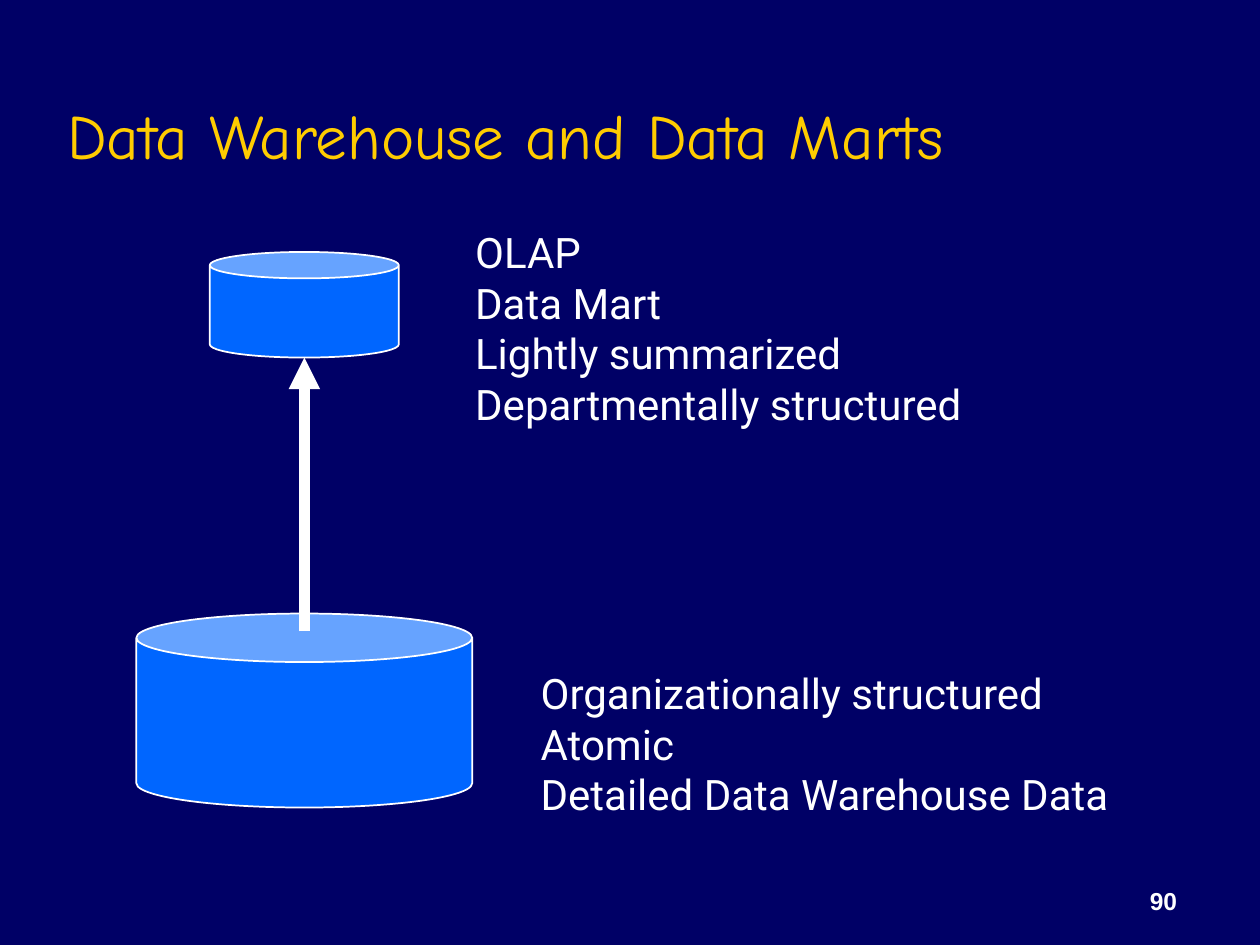
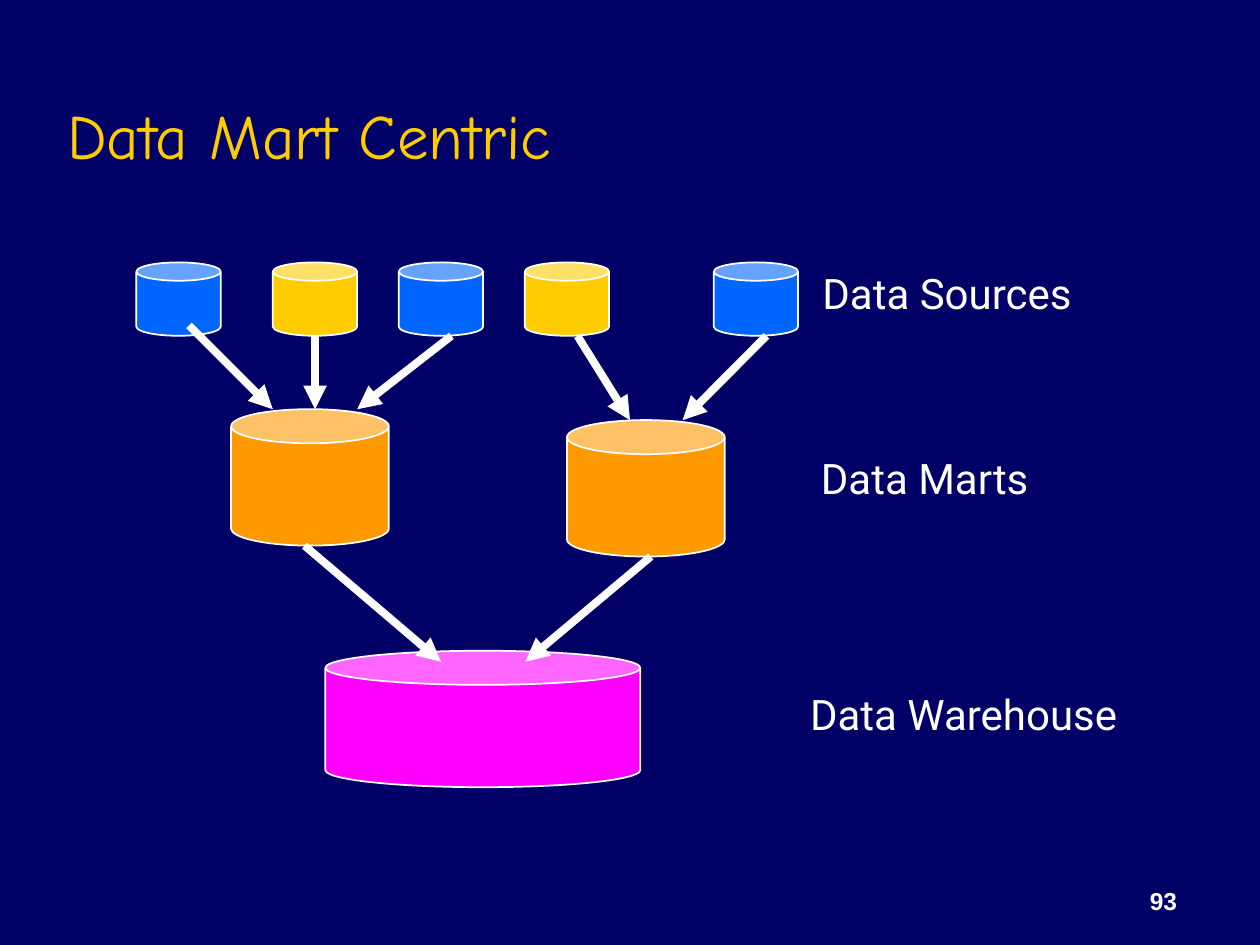
import dataclasses

import pptx
import pptx.dml.color
import pptx.enum.shapes
import pptx.enum.text
import pptx.oxml
import pptx.oxml.ns
import pptx.util

Cm = pptx.util.Cm
Pt = pptx.util.Pt
Anchor = pptx.enum.text.MSO_ANCHOR
Align = pptx.enum.text.PP_ALIGN


@dataclasses.dataclass(frozen=True)
class Theme:
    navy: str = "000066"
    white: str = "FFFFFF"
    gold: str = "FFCC00"
    blue: str = "0066FF"
    orange: str = "FF9900"
    pink: str = "FF00FF"
    head: tuple = ("Comic Neue", 36)
    body: tuple = ("Roboto", 24)
    page: tuple = ("Arial", 14)
    edge: float = 1
    thick: float = 6
    thin: float = 4.5


theme = Theme()
rgb = pptx.dml.color.RGBColor.from_string


def place(box, x, y):
    """Turn a point inside a box into slide lengths."""
    return Cm(box[0] + x), Cm(box[1] + y)


def write(slide, box, rect, lines, face, color=theme.white, wrap=False,
          anchor=Anchor.TOP, align=Align.LEFT, bold=False):
    x, y, wide, high = rect
    text = slide.shapes.add_textbox(*place(box, x, y), Cm(wide), Cm(high))
    frame = text.text_frame
    frame.word_wrap = wrap
    frame.vertical_anchor = anchor
    frame.text = "\n".join(lines)
    for para in frame.paragraphs:
        para.alignment = align
        para.font.name, para.font.size = face[0], Pt(face[1])
        para.font.bold = bold
        para.font.color.rgb = rgb(color)


def add_can(slide, box, rect, color):
    x, y, wide, high = rect
    can = slide.shapes.add_shape(pptx.enum.shapes.MSO_SHAPE.CAN,
                                 *place(box, x, y), Cm(wide), Cm(high))
    can.shadow.inherit = False
    can.fill.solid()
    can.fill.fore_color.rgb = rgb(color)
    can.line.color.rgb = rgb(theme.white)
    can.line.width = Pt(theme.edge)


def add_arrow(slide, box, start, end, weight):
    arrow = slide.shapes.add_connector(
        pptx.enum.shapes.MSO_CONNECTOR.STRAIGHT,
        *place(box, *start), *place(box, *end))
    arrow.line.color.rgb = rgb(theme.white)
    arrow.line.width = Pt(weight)
    # Arrowhead, and no shadow
    tail = pptx.oxml.parse_xml(
        f'<a:tailEnd {pptx.oxml.ns.nsdecls("a")} type="triangle"/>')
    arrow.line._get_or_add_ln().append(tail)
    arrow._element.spPr.append(
        pptx.oxml.parse_xml(f'<a:effectLst {pptx.oxml.ns.nsdecls("a")}/>'))


def new_slide(deck, title, number):
    """Add a slide with its title and page number."""
    slide = deck.slides.add_slide(deck.slide_layouts[6])
    slide.background.fill.solid()
    slide.background.fill.fore_color.rgb = rgb(theme.navy)
    write(slide, (1.11, 0.64), (0, 0, 21.59, 2.96), [title], theme.head,
          theme.gold, wrap=True, anchor=Anchor.BOTTOM)
    write(slide, (18.7, 17.3), (0, 0, 5.28, 1.27), [str(number)], theme.page,
          wrap=True, anchor=Anchor.BOTTOM, align=Align.RIGHT, bold=True)
    return slide


def draw_levels(slide, box):
    """Small mart fed by the large warehouse below it."""
    wide, small = 6.77, 3.81
    mid = wide / 2
    add_can(slide, box, (0, 7.92, wide, 3.91), theme.blue)
    add_can(slide, box, (mid - small / 2, 0.63, small, 2.13), theme.blue)
    add_arrow(slide, box, (mid, 8.28), (mid, 2.76), theme.thick)
    # Traits of each level
    write(slide, box, (6.58, 0, 11.07, 4.32),
          ["OLAP", "Data Mart", "Lightly summarized",
           "Departmentally structured"], theme.body)
    write(slide, box, (7.9, 8.89, 12.75, 3.3),
          ["Organizationally structured", "Atomic",
           "Detailed Data Warehouse Data"], theme.body)


def draw_flow(slide, box):
    """Sources feed the marts, which feed the warehouse."""
    # Data sources, in turn blue and gold
    tints = (theme.blue, theme.gold, theme.blue, theme.gold, theme.blue)
    for x, tint in zip((0, 2.75, 5.29, 7.83, 11.64), tints):
        add_can(slide, box, (x, 0, 1.7, 1.48), tint)
    # Data marts
    for x, y in ((1.91, 2.96), (8.68, 3.18)):
        add_can(slide, box, (x, y, 3.18, 2.75), theme.orange)
    # Data warehouse
    add_can(slide, box, (3.81, 7.83, 6.35, 2.75), theme.pink)
    # Labels
    for x, y, wide, label in ((13.58, -0.03, 5.74, "Data Sources"),
                              (13.55, 3.71, 4.9, "Data Marts"),
                              (13.33, 8.47, 7.14, "Data Warehouse")):
        write(slide, box, (x, y, wide, 1.27), [label], theme.body)
    # Source to mart, then mart to warehouse
    flows = (((1.06, 1.27), (2.75, 2.96)),
             ((3.6, 1.48), (3.6, 2.96)),
             ((6.35, 1.48), (4.45, 2.96)),
             ((12.7, 1.48), (11.01, 3.18)),
             ((8.89, 1.48), (9.95, 3.18)),
             ((3.39, 5.71), (6.14, 8.05)),
             ((10.37, 5.93), (7.84, 8.05)))
    for start, end in flows:
        add_arrow(slide, box, start, end, theme.thin)


def main():
    deck = pptx.Presentation()
    deck.slide_width, deck.slide_height = Cm(25.4), Cm(19.05)
    draw_levels(new_slide(deck, "Data Warehouse and Data Marts", 90),
                (2.75, 4.45))
    draw_flow(new_slide(deck, "Data Mart Centric", 93), (2.75, 5.29))
    deck.save("out.pptx")


if __name__ == "__main__":
    main()
